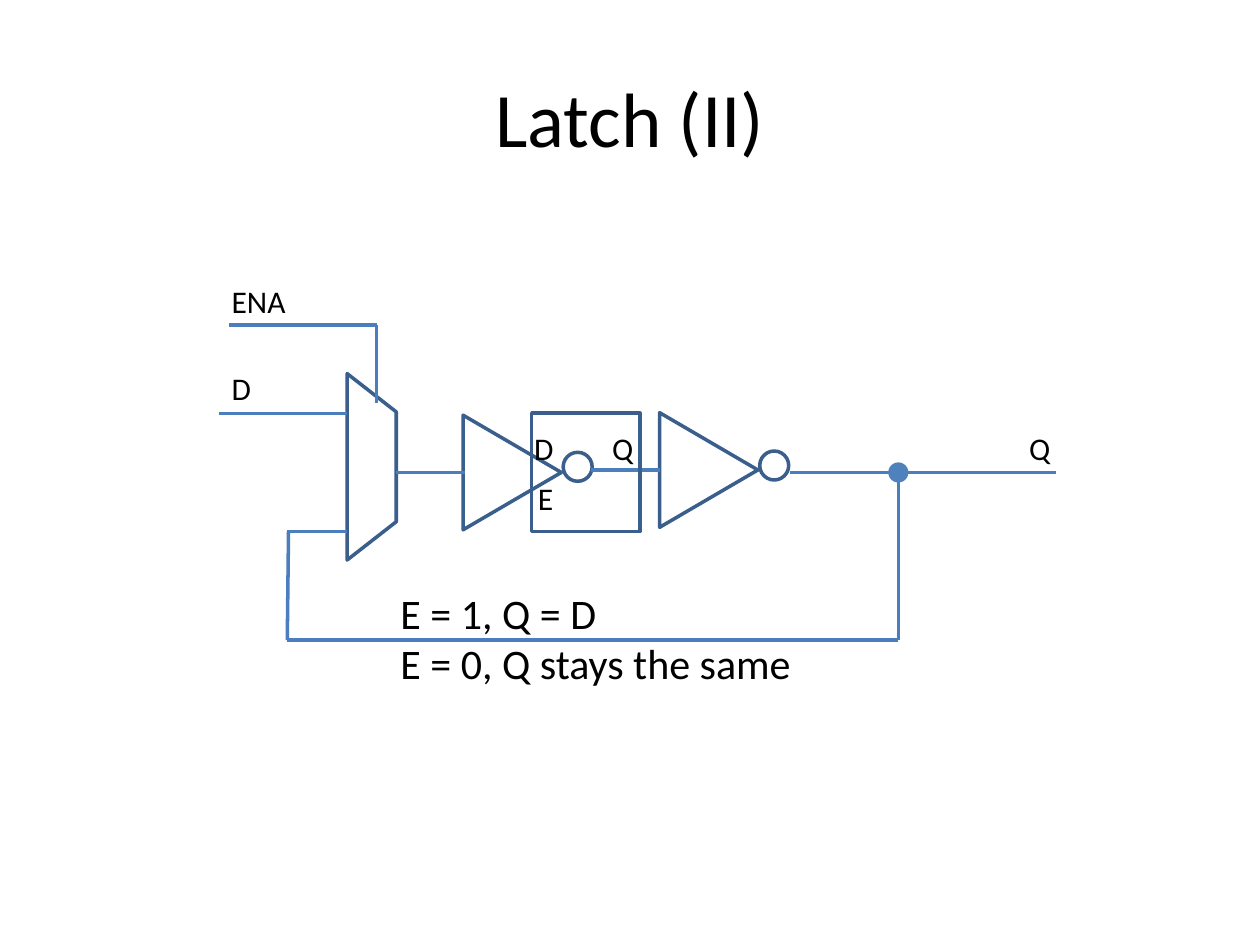
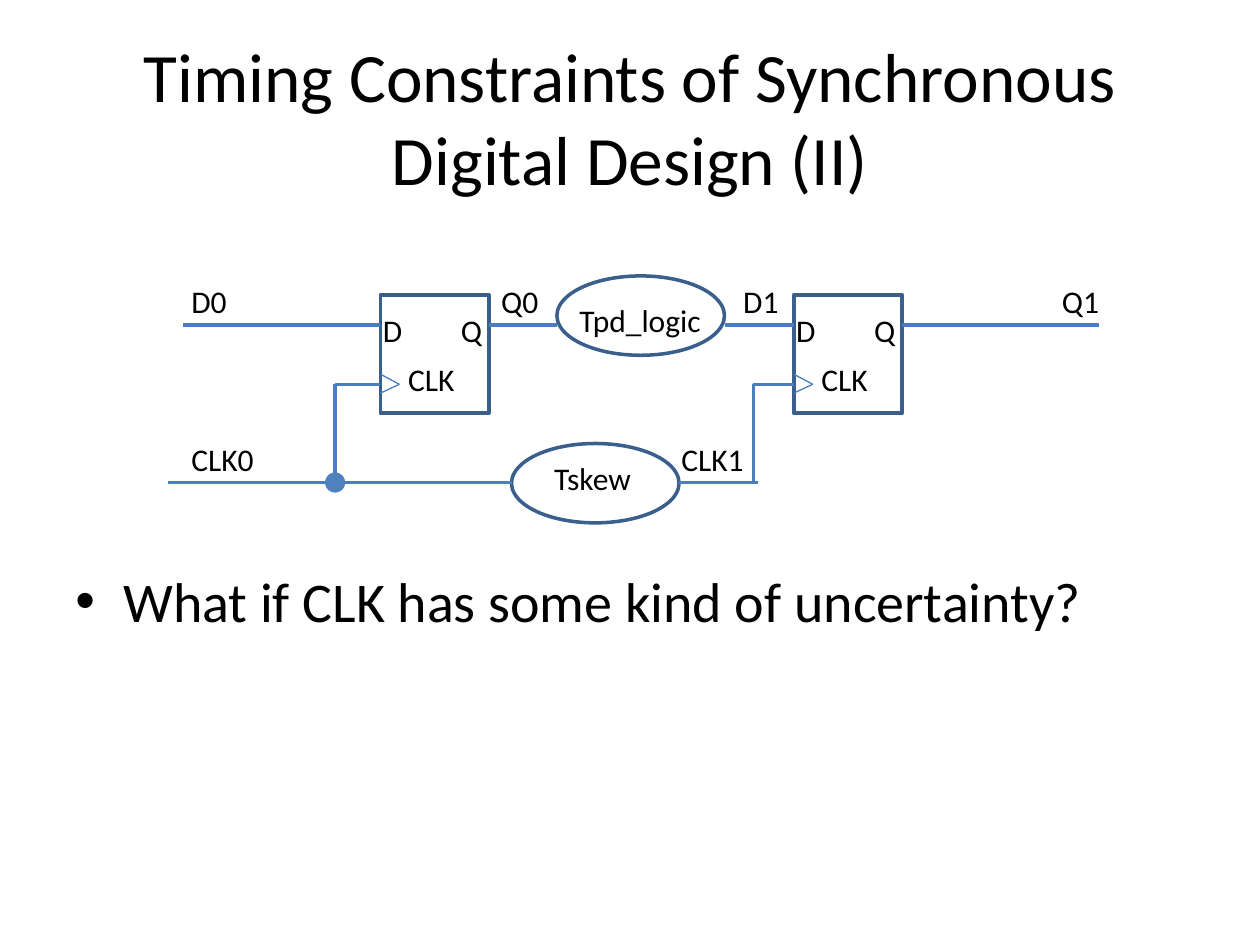
import dataclasses
import typing

import lxml.etree
import pptx
import pptx.dml.color
import pptx.enum.shapes
import pptx.enum.text
import pptx.oxml.ns
import pptx.presentation
import pptx.shapes.autoshape
import pptx.shapes.shapetree
import pptx.slide
import pptx.text.text
import pptx.util

EMU_PER_PX = 9144  # 100 px to the inch
FONT = "Calibri"
INK = "000000"
OUTLINE = "3A5F8C"
WIRE = "4B7EBC"
JUNCTION_FILL = "4F81BD"
LABEL_PT, LABEL_HEIGHT = 18, 40
GATE, BUBBLE, JUNCTION = (91, 78), 23, 16
BLOCK = (86, 94)
CLOUD = (133, 63)

KIND = pptx.enum.shapes.MSO_SHAPE
Shapes = typing.Union[pptx.shapes.shapetree.SlideShapes,
                      pptx.shapes.shapetree.GroupShapes]
Point = tuple[int, int]


@dataclasses.dataclass(frozen=True)
class Label:
    text: str
    left: int
    top: int
    width: int


@dataclasses.dataclass(frozen=True)
class Wire:
    start: Point
    end: Point
    points: float = 2


# Pin labels and clock mark, measured from the corner of a block
DATA_PINS = (Label("D", -8, 8, 36), Label("Q", 54, 8, 37))
LATCH_PINS = DATA_PINS + (Label("E", -5, 47, 32),)
FLIP_FLOP_PINS = DATA_PINS + (Label("CLK", 12, 47, 58),)
CLOCK_MARK = ((0, 63), (15, 71), (0, 78))


def px(length: int) -> pptx.util.Emu:
    return pptx.util.Emu(length * EMU_PER_PX)


def rgb(colour: str) -> pptx.dml.color.RGBColor:
    return pptx.dml.color.RGBColor.from_string(colour)


def add_run(paragraph: pptx.text.text._Paragraph, text: str, size: float) -> None:
    run = paragraph.add_run()
    run.text = text
    run.font.name = FONT
    run.font.size = pptx.util.Pt(size)
    run.font.color.rgb = rgb(INK)


def add_title(slide: pptx.slide.Slide, text: str, size: float) -> None:
    title = slide.shapes.title
    title.left, title.top, title.width, title.height = map(px, (50, 30, 900, 125))
    frame = title.text_frame
    frame.auto_size = pptx.enum.text.MSO_AUTO_SIZE.NONE
    frame.vertical_anchor = pptx.enum.text.MSO_ANCHOR.MIDDLE
    frame.paragraphs[0].alignment = pptx.enum.text.PP_ALIGN.CENTER
    add_run(frame.paragraphs[0], text, size)


def add_lines(shapes: Shapes, lines: typing.Sequence[str], size: float,
              left: int, top: int, width: int, height: int) -> None:
    """Text that keeps its own line breaks, one paragraph a line."""
    frame = shapes.add_textbox(px(left), px(top), px(width), px(height)).text_frame
    frame.word_wrap = False
    frame.auto_size = pptx.enum.text.MSO_AUTO_SIZE.SHAPE_TO_FIT_TEXT
    for index, line in enumerate(lines):
        paragraph = frame.add_paragraph() if index else frame.paragraphs[0]
        add_run(paragraph, line, size)


def add_labels(shapes: Shapes, labels: typing.Iterable[Label],
               left: int = 0, top: int = 0) -> None:
    for label in labels:
        add_lines(shapes, [label.text], LABEL_PT, left + label.left,
                  top + label.top, label.width, LABEL_HEIGHT)


def add_bullet(shapes: Shapes, text: str, size: float) -> None:
    frame = shapes.add_textbox(px(50), px(445), px(900), px(225)).text_frame
    frame.word_wrap = True
    paragraph = frame.paragraphs[0]
    add_run(paragraph, text, size)
    properties = paragraph._p.get_or_add_pPr()
    properties.set("marL", str(px(38)))
    properties.set("indent", str(-px(38)))
    qn = pptx.oxml.ns.qn
    before = lxml.etree.SubElement(properties, qn("a:spcBef"))
    lxml.etree.SubElement(before, qn("a:spcPct"), val="20000")
    lxml.etree.SubElement(properties, qn("a:buFont"), typeface="Arial")
    lxml.etree.SubElement(properties, qn("a:buChar"), char="•")


def add_outline(shapes: Shapes, kind: KIND, left: int, top: int, width: int,
                height: int, rotation: int = 0) -> pptx.shapes.autoshape.Shape:
    outline = shapes.add_shape(kind, px(left), px(top), px(width), px(height))
    outline.rotation = rotation
    outline.shadow.inherit = False
    outline.fill.background()
    outline.line.color.rgb = rgb(OUTLINE)
    outline.line.width = pptx.util.Pt(2)
    return outline


def add_wires(shapes: Shapes, wires: typing.Iterable[Wire]) -> None:
    for wire in wires:
        connector = shapes.add_connector(
            pptx.enum.shapes.MSO_CONNECTOR.STRAIGHT,
            *map(px, wire.start + wire.end))
        connector.line.color.rgb = rgb(WIRE)
        connector.line.width = pptx.util.Pt(wire.points)
        lxml.etree.SubElement(connector._element.spPr,
                              pptx.oxml.ns.qn("a:effectLst"))


def add_junction(shapes: Shapes, centre: Point) -> None:
    corner = [coordinate - JUNCTION // 2 for coordinate in centre]
    junction = add_outline(shapes, KIND.OVAL, *corner, JUNCTION, JUNCTION)
    junction.fill.solid()
    junction.fill.fore_color.rgb = rgb(JUNCTION_FILL)
    junction.line.fill.background()


def add_inverter(shapes: Shapes, gate: Point, bubble: Point) -> None:
    add_outline(shapes, KIND.ISOSCELES_TRIANGLE, *gate, *GATE, rotation=90)
    add_outline(shapes, KIND.OVAL, *bubble, BUBBLE, BUBBLE)


def add_block(shapes: Shapes, left: int, top: int, pins: typing.Iterable[Label],
              clocked: bool = False) -> None:
    block = shapes.add_group_shape().shapes
    add_outline(block, KIND.RECTANGLE, left, top, *BLOCK)
    add_labels(block, pins, left, top)
    if clocked:
        corners = [(left + x, top + y) for x, y in CLOCK_MARK]
        add_wires(block, [Wire(a, b, 0.75) for a, b in zip(corners, corners[1:])])


def build_latch(slide: pptx.slide.Slide) -> None:
    add_title(slide, "Latch (II)", 44)

    # Multiplexer, two inverters and the feedback loop
    circuit = slide.shapes.add_group_shape().shapes
    add_inverter(circuit, gate=(361, 336), bubble=(447, 359))
    add_inverter(circuit, gate=(517, 334), bubble=(603, 358))
    multiplexer = add_outline(circuit, KIND.TRAPEZOID, 221, 351, 148, 39, rotation=90)
    multiplexer.adjustments[0] = 0.78
    add_wires(circuit, [
        Wire((469, 373), (524, 373)),
        Wire((627, 375), (838, 375)),
        Wire((713, 508), (713, 375)),
        Wire((713, 508), (228, 508)),
        Wire((228, 508), (229, 422)),
        Wire((228, 422), (275, 422)),
        Wire((314, 375), (369, 375)),
        Wire((174, 328), (275, 328)),
        Wire((299, 258), (299, 320)),
        Wire((299, 258), (182, 258)),
    ])
    add_junction(circuit, (713, 375))
    add_labels(circuit, [Label("D", 174, 288, 36), Label("Q", 807, 336, 37),
                         Label("ENA", 174, 219, 63)])

    # Latch symbol and its behaviour
    add_block(slide.shapes, 422, 328, LATCH_PINS)
    add_lines(slide.shapes, ["E = 1, Q = D", "E = 0, Q stays the same"], 24,
              308, 461, 333, 91)


def build_timing(slide: pptx.slide.Slide) -> None:
    add_title(slide, "Timing Constraints of Synchronous Digital Design (II)", 39.6)
    add_bullet(slide.shapes, "What if CLK has some kind of uncertainty?", 32)

    # Flip-flops, with logic delay and clock skew between them
    for left in (302, 630):
        add_block(slide.shapes, left, 234, FLIP_FLOP_PINS, clocked=True)
    for corner in ((442, 219), (406, 352)):
        add_outline(slide.shapes, KIND.OVAL, *corner, *CLOUD)

    # Data path, then clock path
    data_y, clock_pin_y, clock_y = 258, 305, 383
    data_spans = ((145, 302), (388, 442), (575, 630), (716, 872))
    add_wires(slide.shapes, [Wire((a, data_y), (b, data_y)) for a, b in data_spans])
    clock_spans = ((133, 406), (539, 602))
    add_wires(slide.shapes, [Wire((a, clock_y), (b, clock_y)) for a, b in clock_spans])
    for branch_x, pin_x in ((266, 302), (598, 630)):
        add_wires(slide.shapes, [
            Wire((branch_x, clock_pin_y), (pin_x, clock_pin_y)),
            Wire((branch_x, clock_pin_y), (branch_x, clock_y)),
        ])
    add_junction(slide.shapes, (266, clock_y))

    # Signal names
    add_labels(slide.shapes, [
        Label("Tpd_logic", 450, 234, 118),
        Label("Tskew", 430, 359, 82),
        Label("D0", 142, 219, 49),
        Label("Q0", 388, 219, 50),
        Label("D1", 580, 219, 49),
        Label("Q1", 833, 219, 50),
        Label("CLK0", 142, 344, 70),
        Label("CLK1", 531, 344, 70),
    ])


def main() -> None:
    deck = pptx.Presentation()
    deck.slide_width, deck.slide_height = px(1000), px(750)
    title_only = deck.slide_layouts[5]
    for build in (build_latch, build_timing):
        build(deck.slides.add_slide(title_only))
    deck.save("out.pptx")


if __name__ == "__main__":
    main()
